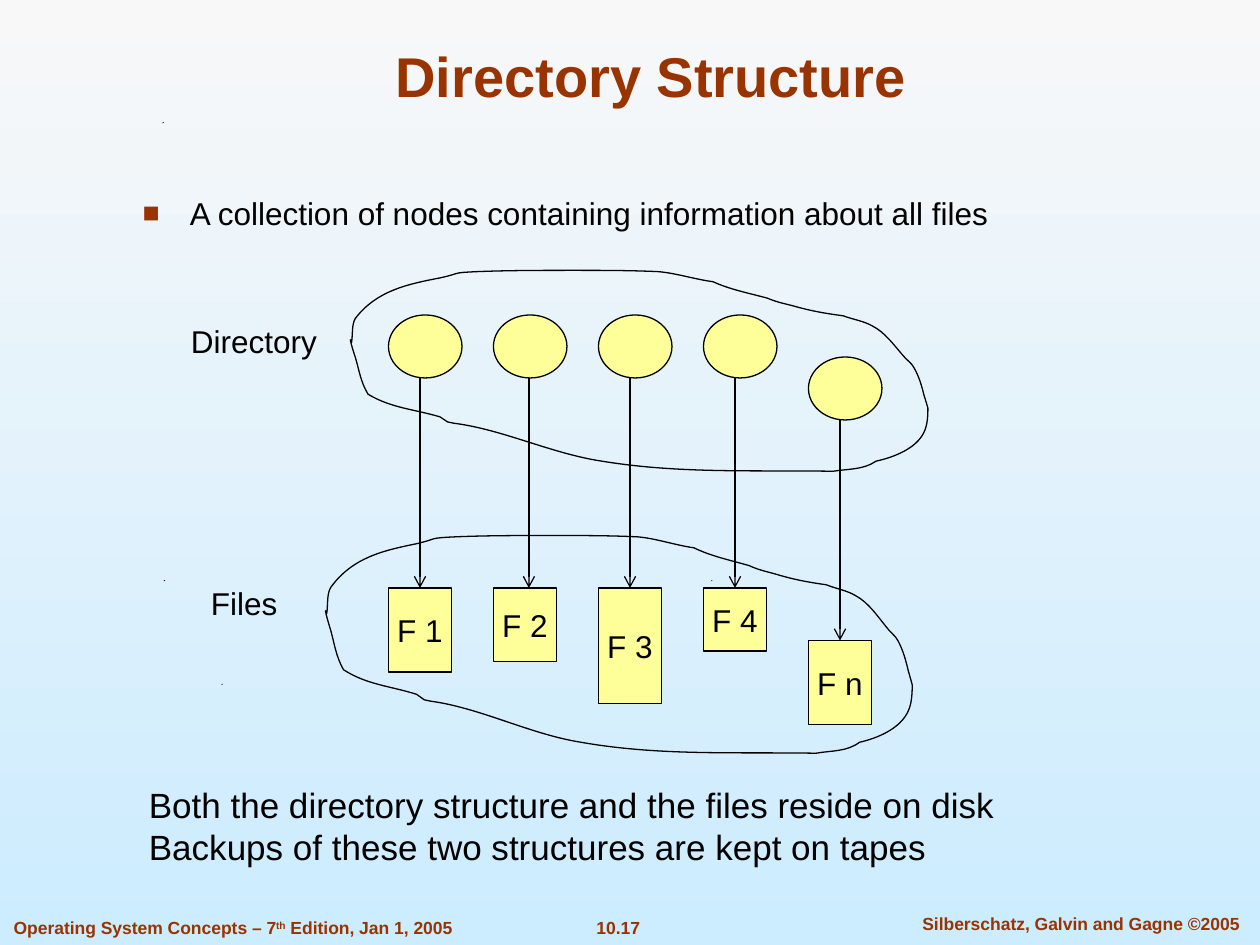
"""Build the Directory Structure slide: directory nodes pointing to files."""
import pptx
import pptx.dml.color
import pptx.enum.shapes
import pptx.enum.text
import pptx.oxml
import pptx.oxml.ns
import pptx.util

PX = 914400 / 96
FONT = "Arial"
COLORS = {"accent": "993300", "ink": "000000", "node": "FFFF99",
          "sky_top": "F8F8F8", "sky_bottom": "CCECFF"}
ALIGN = pptx.enum.text.PP_ALIGN
ANCHOR = pptx.enum.text.MSO_ANCHOR
SHAPE = pptx.enum.shapes.MSO_SHAPE

TITLE = ("Directory Structure", (72, 24, 848, 64))
BULLET = ("A collection of nodes containing information about all files", (99, 146, 691, 36))
CLOSING = (["Both the directory structure and the files reside on disk",
            "Backups of these two structures are kept on tapes"], (104, 592, 738, 40))
LABELS = [("Directory", (136, 240, 115, 39)), ("Files", (151, 440, 70, 39))]
PAGE = ("10.17", (420, 694, 102, 26))
CREDIT = ("Silberschatz, Galvin and Gagne ©2005", (681, 691, 285, 26))
BOOK = (["Operating System Concepts – 7", "th", " Edition, Jan 1, 2005"], (1, 694, 353, 26))

FIRST_X, PITCH = 296, 80
NODE_W, NODE_H, FILE_W = 56, 48, 48
FILES = [("F 1", 240, 320, 448, 64), ("F 2", 240, 403, 448, 56),
         ("F 3", 240, 480, 448, 88), ("F 4", 240, 560, 448, 48),
         ("F n", 272, 640, 488, 64)]

SPECKS = [(169, 521), (125, 442), (542, 442), (124, 93)]
LOOPS = [(267, 206, 440, 155), (248, 408, 447, 168)]
LOOP_GRID = (457, 161)
LOOP_START = (1, 57)
LOOP_CURVES = [
    (2, 50, 1, 43, 4, 38), (21, 16, 45, 11, 71, 6), (89, 2, 79, 2, 101, 1),
    (126, 0, 151, 0, 177, 0), (199, 0, 221, 0, 243, 1), (257, 2, 272, 7, 287, 9),
    (300, 15, 315, 18, 330, 22), (337, 25, 342, 26, 350, 28),
    (364, 32, 375, 34, 390, 36), (398, 39, 406, 40, 413, 44),
    (423, 49, 430, 59, 437, 67), (440, 71, 444, 73, 446, 77),
    (450, 84, 452, 91, 454, 99), (455, 102, 457, 109, 457, 109),
    (457, 113, 457, 122, 454, 128), (448, 141, 430, 148, 416, 151),
    (406, 158, 394, 157, 382, 159), (318, 158, 260, 161, 199, 151),
    (159, 145, 121, 126, 82, 121), (80, 121, 79, 120, 77, 120),
    (75, 119, 73, 117, 71, 116), (51, 110, 32, 109, 14, 98),
    (8, 88, 7, 79, 4, 69), (4, 69, 0, 57, 0, 55), (0, 54, 1, 56, 1, 57)]


def emu(*lengths):
    return [pptx.util.Emu(round(n * PX)) for n in lengths]


def rgb(name):
    return pptx.dml.color.RGBColor.from_string(COLORS[name])


def new_xml(tag, **attrs):
    el = pptx.oxml.parse_xml(f"<a:{tag} {pptx.oxml.ns.nsdecls('a')}/>")
    for key, value in attrs.items():
        el.set(key, value)
    return el


def add_xml(parent, tag, **attrs):
    el = new_xml(tag, **attrs)
    parent.append(el)
    return el


def place(sp, box):
    sp.left, sp.top, sp.width, sp.height = emu(*box)
    return sp


def style(r, size, color, bold):
    r.font.name, r.font.size, r.font.bold = FONT, pptx.util.Pt(size), bold
    r.font.color.rgb = rgb(color)


def write(sp, lines, size, color="ink", bold=False, align=ALIGN.LEFT,
          anchor=ANCHOR.TOP, wrap=False):
    tf = sp.text_frame
    tf.text = "\n".join(lines)
    tf.word_wrap, tf.vertical_anchor = wrap, anchor
    tf.auto_size = pptx.enum.text.MSO_AUTO_SIZE.NONE
    for p in tf.paragraphs:
        p.alignment = align
        for r in p.runs:
            style(r, size, color, bold)
    return tf


def add_text(s, box, lines, size, **kw):
    return write(s.shapes.add_textbox(*emu(*box)), lines, size, **kw)


def outline(sp, fill=None):
    sp.shadow.inherit = False
    if fill:
        sp.fill.solid()
        sp.fill.fore_color.rgb = rgb(fill)
    else:
        sp.fill.background()
    sp.line.color.rgb, sp.line.width = rgb("ink"), pptx.util.Pt(0.75)
    return sp


def add_polygon(s, points):
    pts = [emu(*pt) for pt in points]
    fb = s.shapes.build_freeform(*pts[0], scale=1.0)
    fb.add_line_segments(pts[1:], close=True)
    return fb.convert_to_shape()


def add_loop(s, x, y, w, h):
    grid = [LOOP_START] + [c[i:i + 2] for c in LOOP_CURVES for i in (0, 2, 4)]
    sp = add_polygon(s, [(x + gx * w / LOOP_GRID[0], y + gy * h / LOOP_GRID[1])
                         for gx, gy in grid])
    steps = sp._element.xpath(".//a:path/a:lnTo")
    for i in range(0, len(steps), 3):
        curve = new_xml("cubicBezTo")
        steps[i].addprevious(curve)
        for step in steps[i:i + 3]:
            curve.append(step[0])
            step.getparent().remove(step)
    return outline(sp)


def add_arrow(s, x, top, bottom):
    cn = s.shapes.add_connector(pptx.enum.shapes.MSO_CONNECTOR.STRAIGHT, *emu(x, top, x, bottom))
    cn.line.color.rgb, cn.line.width = rgb("ink"), pptx.util.Pt(0.75)
    add_xml(cn.line._get_or_add_ln(), "tailEnd", type="arrow")
    add_xml(cn._element.spPr, "effectLst")


def add_bullet(p):
    p.line_spacing, p.space_before = 0.9, pptx.util.Pt(7.9)
    pPr = p._p.get_or_add_pPr()
    indent = emu(36)[0]
    pPr.set("marL", str(indent))
    pPr.set("indent", str(-indent))
    add_xml(add_xml(pPr, "buClr"), "srgbClr", val=COLORS["accent"])
    add_xml(pPr, "buSzPct", val="90000")
    add_xml(pPr, "buFont", typeface=FONT)
    add_xml(pPr, "buChar", char="■")


def add_footer(s):
    foot = {"size": 10, "color": "accent", "bold": True}
    add_text(s, PAGE[1], [PAGE[0]], align=ALIGN.CENTER, **foot)
    add_text(s, CREDIT[1], [CREDIT[0]], align=ALIGN.CENTER, wrap=True, **foot)
    p = add_text(s, BOOK[1], [BOOK[0][0]], **foot).paragraphs[0]
    for part in BOOK[0][1:]:
        r = p.add_run()
        r.text = part
        style(r, **foot)
    p.runs[1]._r.get_or_add_rPr().set("baseline", "30000")


def main():
    prs = pptx.Presentation()
    prs.slide_width, prs.slide_height = emu(960, 720)
    s = prs.slides.add_slide(prs.slide_layouts[1])
    bg = s.background.fill
    bg.gradient()
    bg.gradient_angle = 270
    for stop, name in zip(bg.gradient_stops, ("sky_top", "sky_bottom")):
        stop.color.rgb = rgb(name)

    write(place(s.shapes.title, TITLE[1]), [TITLE[0]], 32, "accent", True,
          ALIGN.CENTER, ANCHOR.BOTTOM, True)
    body = place(s.placeholders[1], BULLET[1])
    add_bullet(write(body, [BULLET[0]], 18, wrap=True).paragraphs[0])
    add_footer(s)
    for x, y in SPECKS:
        speck = add_polygon(s, [(x, y), (x + 1, y), (x, y + 1)])
        outline(speck, "ink").line.fill.background()

    for i, (name, node_y, arrow_x, file_y, file_h) in enumerate(FILES):
        x = FIRST_X + i * PITCH
        outline(s.shapes.add_shape(SHAPE.OVAL, *emu(x, node_y, NODE_W, NODE_H)), "node")
        sp = s.shapes.add_shape(SHAPE.RECTANGLE, *emu(x, file_y, FILE_W, file_h))
        write(outline(sp, "node"), [name], 18, align=ALIGN.CENTER, anchor=ANCHOR.MIDDLE)
        add_arrow(s, arrow_x, node_y + NODE_H, file_y)
    for box in LOOPS:
        add_loop(s, *box)

    for label, box in LABELS:
        add_text(s, box, [label], 18, align=ALIGN.CENTER, anchor=ANCHOR.MIDDLE)
    add_text(s, CLOSING[1], CLOSING[0], 20, wrap=True)
    prs.save("out.pptx")


if __name__ == "__main__":
    main()
